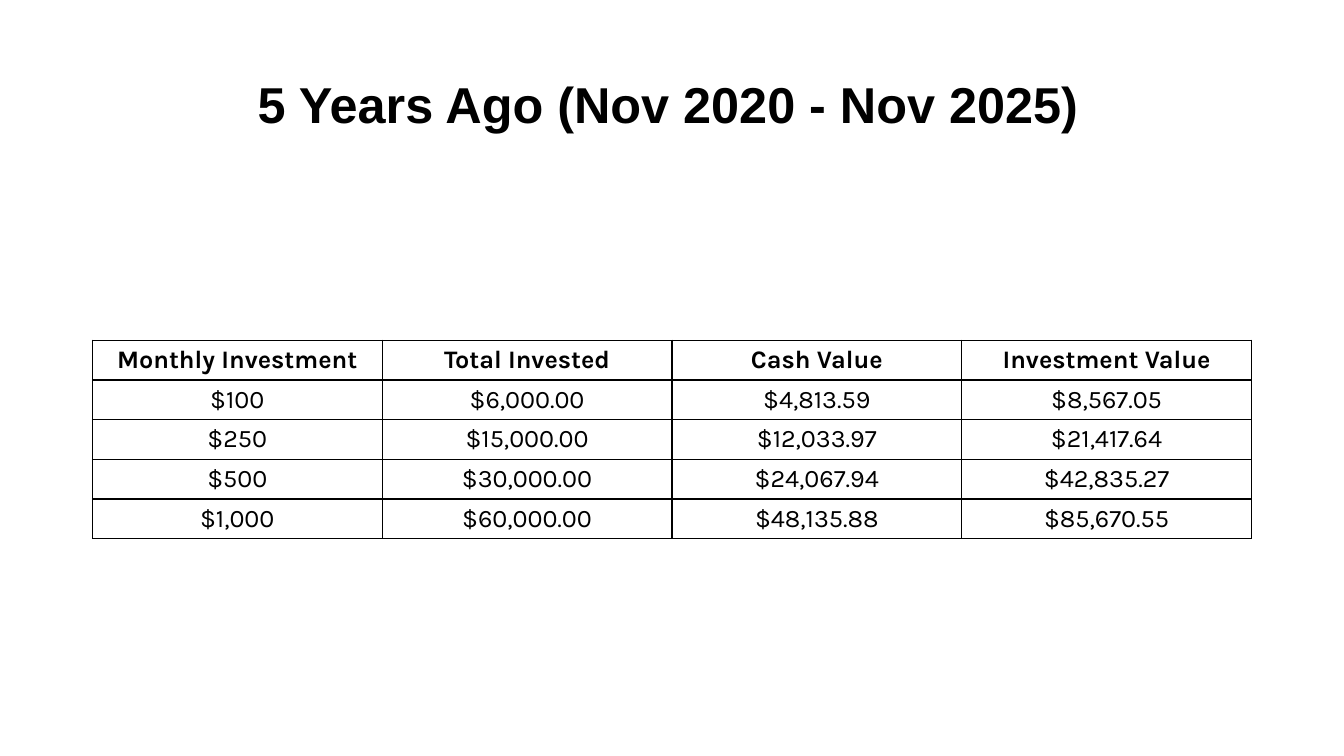
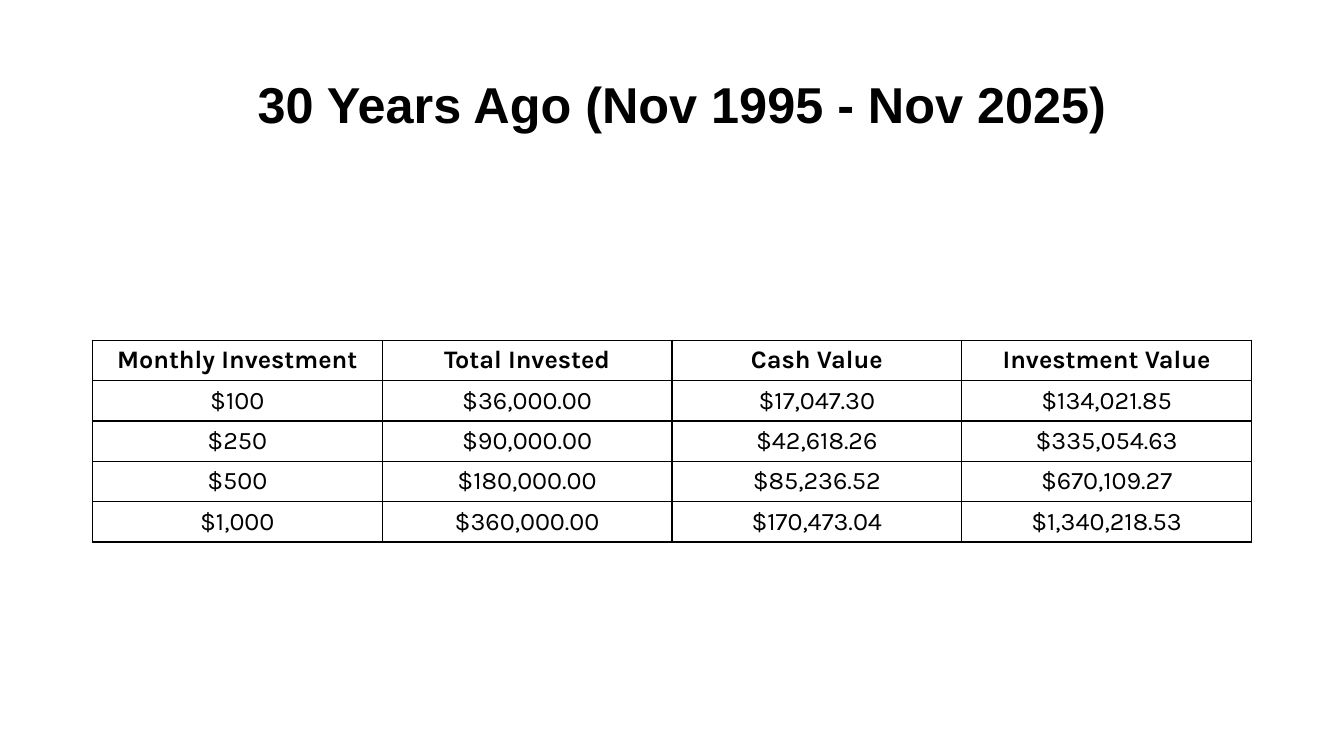
"""Build two slides comparing cash and investment values over time."""
from dataclasses import dataclass

from lxml.etree import SubElement
from pptx import Presentation
from pptx.dml.color import RGBColor
from pptx.enum.text import MSO_ANCHOR as Anchor, PP_ALIGN as Align
from pptx.oxml.ns import qn
from pptx.util import Pt


@dataclass(frozen=True)
class Theme:
    ink: str = "000000"
    paper: str = "FFFFFF"
    title_font: str = "Arial"
    table_font: str = "Karla"
    title_size: int = 36
    table_size: int = 18
    border: int = 1


HEADINGS = ("Monthly Investment", "Total Invested", "Cash Value", "Investment Value")
PERIODS = (
    ("5 Years Ago (Nov 2020 - Nov 2025)", (
        ("$100", "$6,000.00", "$4,813.59", "$8,567.05"),
        ("$250", "$15,000.00", "$12,033.97", "$21,417.64"),
        ("$500", "$30,000.00", "$24,067.94", "$42,835.27"),
        ("$1,000", "$60,000.00", "$48,135.88", "$85,670.55"),
    )),
    ("30 Years Ago (Nov 1995 - Nov 2025)", (
        ("$100", "$36,000.00", "$17,047.30", "$134,021.85"),
        ("$250", "$90,000.00", "$42,618.26", "$335,054.63"),
        ("$500", "$180,000.00", "$85,236.52", "$670,109.27"),
        ("$1,000", "$360,000.00", "$170,473.04", "$1,340,218.53"),
    )),
)


class Deck:
    def __init__(self, theme):
        self.theme = theme
        self.presentation = Presentation()
        self.presentation.slide_width = Pt(960)
        self.presentation.slide_height = Pt(540)
        self.slide = None

    def new_slide(self):
        self.slide = self.presentation.slides.add_slide(self.presentation.slide_layouts[6])
        background = self.slide.background.fill
        background.solid()
        background.fore_color.rgb = RGBColor.from_string(self.theme.paper)

    def style(self, paragraph, family, size, bold):
        font = paragraph.font
        font.name = family
        font.size = Pt(size)
        font.bold = bold
        font.color.rgb = RGBColor.from_string(self.theme.ink)

    def title(self, wording):
        heading = self.slide.shapes.add_textbox(Pt(177), Pt(49), Pt(626), Pt(73)).text_frame
        heading.word_wrap = True
        heading.text = wording
        self.style(heading.paragraphs[0], self.theme.title_font, self.theme.title_size, True)

    def outline(self, cell):
        properties = cell._tc.get_or_add_tcPr()
        for side in ("a:lnL", "a:lnR", "a:lnT", "a:lnB"):
            edge = SubElement(properties, qn(side), w=str(Pt(self.theme.border)))
            fill = SubElement(edge, qn("a:solidFill"))
            SubElement(fill, qn("a:srgbClr"), val=self.theme.ink)

    def table(self, rows, left=66, top=243, width=828, row_height=28.3):
        frame = self.slide.shapes.add_table(
            len(rows), len(rows[0]), Pt(left), Pt(top), Pt(width), Pt(row_height * len(rows)))
        grid = frame.table
        grid.horz_banding = False
        for row_index, row in enumerate(rows):
            for column_index, value in enumerate(row):
                cell = grid.cell(row_index, column_index)
                cell.text = value
                cell.vertical_anchor = Anchor.MIDDLE
                self.outline(cell)
                cell.fill.background()
                paragraph = cell.text_frame.paragraphs[0]
                paragraph.alignment = Align.CENTER
                self.style(paragraph, self.theme.table_font, self.theme.table_size, row_index == 0)


def main():
    deck = Deck(Theme())
    for period, amounts in PERIODS:
        deck.new_slide()
        deck.table((HEADINGS, *amounts))
        deck.title(period)
    deck.presentation.save("out.pptx")


if __name__ == "__main__":
    main()
